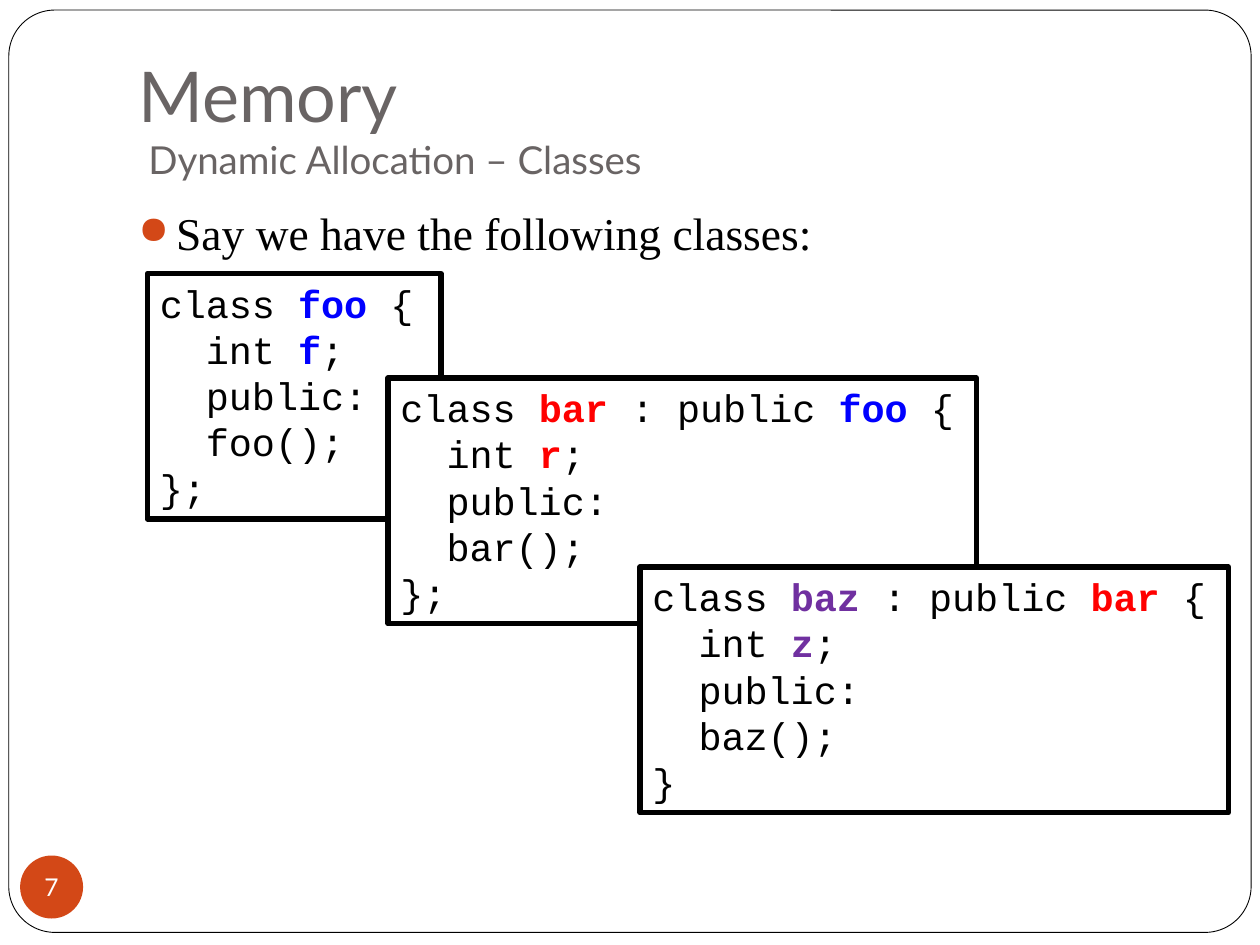
from lxml import etree
from pptx import Presentation
from pptx.dml.color import RGBColor
from pptx.enum import shapes, text
from pptx.oxml import ns
from pptx.util import Inches, Pt

WHITE = RGBColor(0xFF, 0xFF, 0xFF)
BLACK = RGBColor(0, 0, 0)
GRAY = RGBColor(0x69, 0x64, 0x64)
ORANGE = RGBColor(0xD3, 0x48, 0x17)
BLUE = RGBColor(0, 0, 0xFF)
RED = RGBColor(0xFF, 0, 0)
PURPLE = RGBColor(0x70, 0x30, 0xA0)

CLASS_COLORS = {"foo": BLUE, "bar": RED, "baz": PURPLE}


def add_run(paragraph, words, size=22, font="Lato", color=BLACK, bold=False):
    run = paragraph.add_run()
    run.text = words
    run.font.size = Pt(size)
    run.font.name = font
    run.font.color.rgb = color
    run.font.bold = bold


def set_insets(frame, left=0.1, top=0.05, right=0.1, bottom=0.05):
    frame.margin_left, frame.margin_top = Inches(left), Inches(top)
    frame.margin_right, frame.margin_bottom = Inches(right), Inches(bottom)


def add_panel(slide, kind, box, fill, line=None, width=0):
    panel = slide.shapes.add_shape(kind, *map(Inches, box))
    panel.shadow.inherit = False
    panel.fill.solid()
    panel.fill.fore_color.rgb = fill
    if line is None:
        panel.line.fill.background()
    else:
        panel.line.color.rgb = line
        panel.line.width = Pt(width)
    return panel


def add_border(slide, box):
    border = add_panel(slide, shapes.MSO_SHAPE.ROUNDED_RECTANGLE, box, WHITE, BLACK, 0.5)
    border.adjustments[0] = 0.05
    slide.shapes.title.element.addprevious(border.element)


def place_title(slide, box, heading, subheading):
    title = slide.shapes.title
    title.left, title.top, title.width, title.height = map(Inches, box)
    frame = title.text_frame
    frame.word_wrap = True
    frame.auto_size = text.MSO_AUTO_SIZE.NONE
    frame.vertical_anchor = text.MSO_ANCHOR.BOTTOM
    set_insets(frame, bottom=0.1)
    paragraph = frame.paragraphs[0]
    paragraph.alignment = text.PP_ALIGN.LEFT
    add_run(paragraph, heading, size=40, color=GRAY)
    paragraph.add_line_break()
    add_run(paragraph, subheading, color=GRAY)


def add_page_number(slide, box, number):
    badge = add_panel(slide, shapes.MSO_SHAPE.OVAL, box, ORANGE)
    frame = badge.text_frame
    frame.word_wrap = False
    frame.vertical_anchor = text.MSO_ANCHOR.MIDDLE
    set_insets(frame, 0, 0, 0, 0)
    paragraph = frame.paragraphs[0]
    paragraph.alignment = text.PP_ALIGN.CENTER
    add_run(paragraph, number, size=14, color=WHITE)


def add_bullet_text(slide, box, words):
    body = slide.shapes.add_textbox(*map(Inches, box))
    body.text_frame.word_wrap = True
    paragraph = body.text_frame.paragraphs[0]
    properties = paragraph._p.get_or_add_pPr()
    properties.set("marL", str(Inches(0.3)))
    properties.set("indent", str(-Inches(0.3)))
    bullet_color = etree.SubElement(properties, ns.qn("a:buClr"))
    etree.SubElement(bullet_color, ns.qn("a:srgbClr"), val=str(ORANGE))
    etree.SubElement(properties, ns.qn("a:buSzPct"), val="85000")
    etree.SubElement(properties, ns.qn("a:buChar"), char="●")
    add_run(paragraph, words, size=26, font="Times New Roman")


def add_class_code(slide, box, name, member, base=None, end="};"):
    panel = add_panel(slide, shapes.MSO_SHAPE.RECTANGLE, box, WHITE, BLACK, 3)
    frame = panel.text_frame
    frame.word_wrap = True
    frame.vertical_anchor = text.MSO_ANCHOR.TOP
    set_insets(frame)
    color = CLASS_COLORS[name]
    header = [("class ", None), (name + " ", color)]
    if base:
        header += [(": public ", None), (base + " ", CLASS_COLORS[base])]
    lines = [
        header + [("{", None)],
        [("  int ", None), (member, color), (";", None)],
        [("  public:", None)],
        [(f"  {name}();", None)],
        [(end, None)],
    ]
    for index, line in enumerate(lines):
        paragraph = frame.add_paragraph() if index else frame.paragraphs[0]
        paragraph.alignment = text.PP_ALIGN.LEFT
        for words, accent in line:
            add_run(paragraph, words, font="Courier New",
                    color=accent or BLACK, bold=accent is not None)


def main():
    deck = Presentation()
    deck.slide_width, deck.slide_height = Inches(10), Inches(7.5)
    slide = deck.slides.add_slide(deck.slide_layouts[5])
    add_border(slide, (0.07, 0.08, 9.86, 7.32))
    place_title(slide, (1, 0.3, 8.5, 1.25), "Memory", " Dynamic Allocation – Classes")
    add_page_number(slide, (0.16, 6.79, 0.5, 0.5), "7")
    add_bullet_text(slide, (1, 1.58, 8.67, 5.17), "Say we have the following classes:")
    add_class_code(slide, (1.17, 2.17, 2.33, 1.95), "foo", "f")
    add_class_code(slide, (3.08, 3, 4.67, 1.95), "bar", "r", base="foo")
    add_class_code(slide, (5.08, 4.5, 4.67, 1.95), "baz", "z", base="bar", end="}")
    deck.save("out.pptx")


if __name__ == "__main__":
    main()
